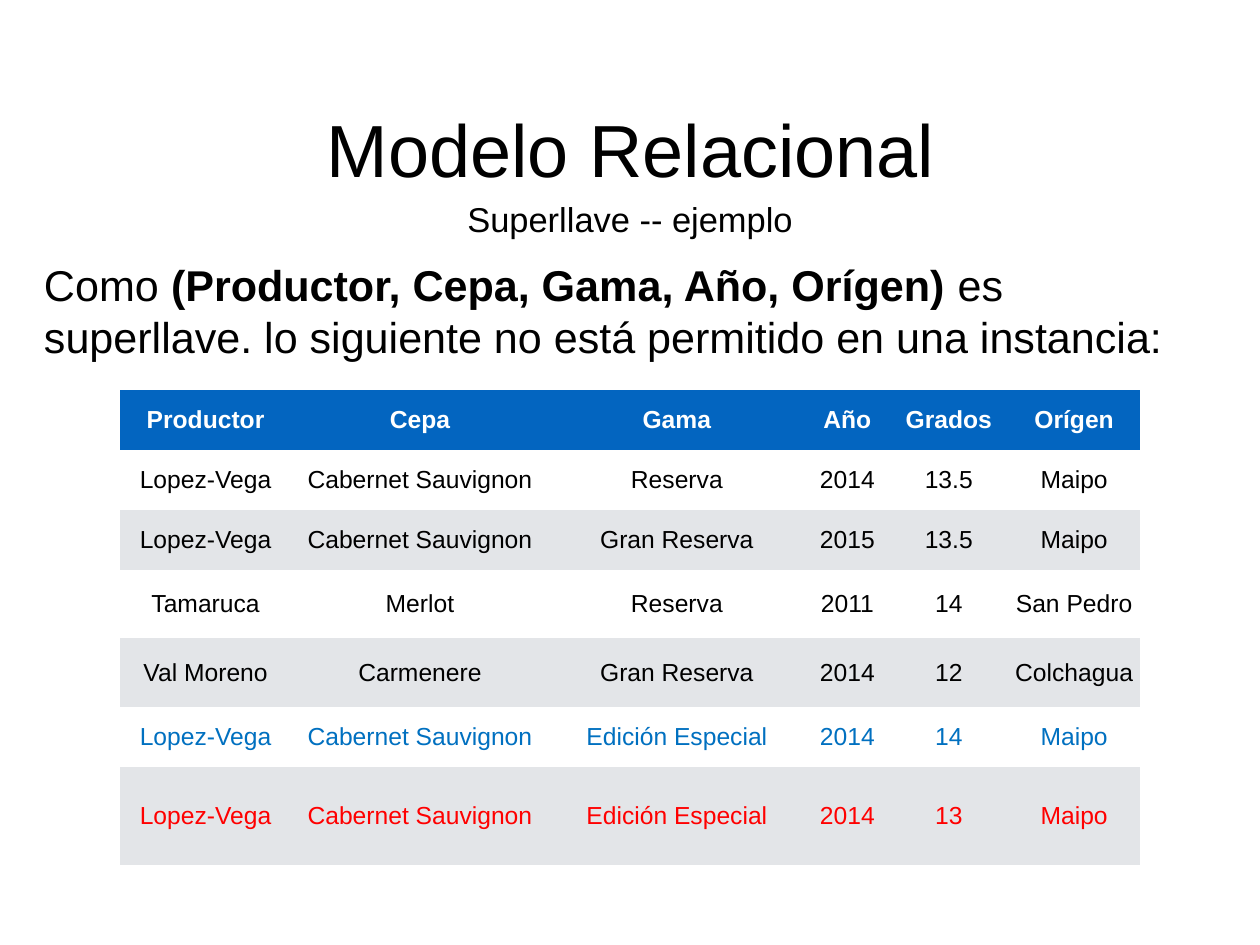
"""Build the superkey example slide of the relational model lecture."""
import pptx
import pptx.dml.color
import pptx.enum.text
import pptx.oxml.ns
import pptx.util

RGBColor = pptx.dml.color.RGBColor
BLACK = RGBColor(0x00, 0x00, 0x00)
WHITE = RGBColor(0xFF, 0xFF, 0xFF)
HEADER_BLUE = RGBColor(0x03, 0x65, 0xC0)
BAND_GRAY = RGBColor(0xE3, 0xE5, 0xE8)
VALID_BLUE = RGBColor(0x00, 0x70, 0xC0)
CONFLICT_RED = RGBColor(0xFF, 0x00, 0x00)

FONT = "Arial"
TABLE_SIZE = 20
PLAIN_TABLE_STYLE = "{2D5ABB26-0587-4C30-8999-92F81FD0307C}"
CENTER = pptx.enum.text.PP_ALIGN.CENTER
LEFT = pptx.enum.text.PP_ALIGN.LEFT
MIDDLE = pptx.enum.text.MSO_ANCHOR.MIDDLE
INSET = pptx.util.Inches(0.06)
SLIDE_WIDTH = pptx.util.Inches(14.22)
SLIDE_HEIGHT = pptx.util.Inches(10.67)

TITLE = [("Modelo Relacional", False)]
SUBTITLE = [("Superllave -- ejemplo", False)]
STATEMENT = [
    ("Como ", False),
    ("(Productor, Cepa, Gama, Año, Orígen)", True),
    (" es superllave. lo siguiente no está permitido en una instancia:", False),
]
TEXTS = [
    ((25.32, 10.45, 49.44, 10.4), 60, CENTER, TITLE),
    ((28.97, 20.43, 42.05, 5.44), 28, CENTER, SUBTITLE),
    ((3.07, 26.8, 93.81, 12.09), 35, LEFT, STATEMENT),
]

TABLE_LEFT, TABLE_TOP = 9.5, 41.28
COLUMNS = [("Productor", 13.64), ("Cepa", 20.39), ("Gama", 20.39),
           ("Año", 6.68), ("Grados", 9.42), ("Orígen", 10.48)]
LOW, MEDIUM, HIGH = 6.33, 7.3, 10.37
WINES = [
    (LOW, BLACK, ("Lopez-Vega", "Cabernet Sauvignon", "Reserva", "2014", "13.5", "Maipo")),
    (LOW, BLACK, ("Lopez-Vega", "Cabernet Sauvignon", "Gran Reserva", "2015", "13.5", "Maipo")),
    (MEDIUM, BLACK, ("Tamaruca", "Merlot", "Reserva", "2011", "14", "San Pedro")),
    (MEDIUM, BLACK, ("Val Moreno", "Carmenere", "Gran Reserva", "2014", "12", "Colchagua")),
    (LOW, VALID_BLUE, ("Lopez-Vega", "Cabernet Sauvignon", "Edición Especial", "2014", "14", "Maipo")),
    (HIGH, CONFLICT_RED, ("Lopez-Vega", "Cabernet Sauvignon", "Edición Especial", "2014", "13", "Maipo")),
]


def across(percent):
    return round(SLIDE_WIDTH * percent / 100)


def down(percent):
    return round(SLIDE_HEIGHT * percent / 100)


def style_run(run, size, color, bold):
    run.font.name = FONT
    run.font.size = pptx.util.Pt(size)
    run.font.color.rgb = color
    run.font.bold = bold


def set_margins(holder):
    holder.margin_left = holder.margin_right = INSET
    holder.margin_top = holder.margin_bottom = INSET
    holder.vertical_anchor = MIDDLE


def add_text(slide, box, size, alignment, runs):
    left, top, width, height = box
    shape = slide.shapes.add_textbox(across(left), down(top), across(width), down(height))
    text_frame = shape.text_frame
    set_margins(text_frame)
    text_frame.word_wrap = True
    text_frame.auto_size = pptx.enum.text.MSO_AUTO_SIZE.SHAPE_TO_FIT_TEXT
    paragraph = text_frame.paragraphs[0]
    paragraph.alignment = alignment
    for text, bold in runs:
        run = paragraph.add_run()
        run.text = text
        style_run(run, size, BLACK, bold)


def fill_cell(cell, text, fill, color, bold):
    cell.fill.solid()
    cell.fill.fore_color.rgb = fill
    set_margins(cell)
    cell.text_frame.text = text
    paragraph = cell.text_frame.paragraphs[0]
    paragraph.alignment = CENTER
    style_run(paragraph.runs[0], TABLE_SIZE, color, bold)


def add_wine_table(slide):
    header = (LOW, WHITE, [name for name, width in COLUMNS])
    rows = [header] + WINES
    frame = slide.shapes.add_table(
        len(rows), len(COLUMNS), across(TABLE_LEFT), down(TABLE_TOP),
        across(sum(width for name, width in COLUMNS)), down(sum(row[0] for row in rows)))
    table = frame.table
    table.horz_banding = False
    style = next(frame.element.iter(pptx.oxml.ns.qn("a:tableStyleId")))
    style.text = PLAIN_TABLE_STYLE
    for column, (name, width) in zip(table.columns, COLUMNS):
        column.width = across(width)
    for index, (height, color, values) in enumerate(rows):
        table.rows[index].height = down(height)
        is_header = index == 0
        fill = HEADER_BLUE if is_header else (BAND_GRAY, WHITE)[index % 2]
        for cell, value in zip(table.rows[index].cells, values):
            fill_cell(cell, value, fill, color, is_header)


def main():
    presentation = pptx.Presentation()
    presentation.slide_width = SLIDE_WIDTH
    presentation.slide_height = SLIDE_HEIGHT
    slide = presentation.slides.add_slide(presentation.slide_layouts[6])
    for box, size, alignment, runs in TEXTS:
        add_text(slide, box, size, alignment, runs)
    add_wine_table(slide)
    presentation.save("out.pptx")


if __name__ == "__main__":
    main()
